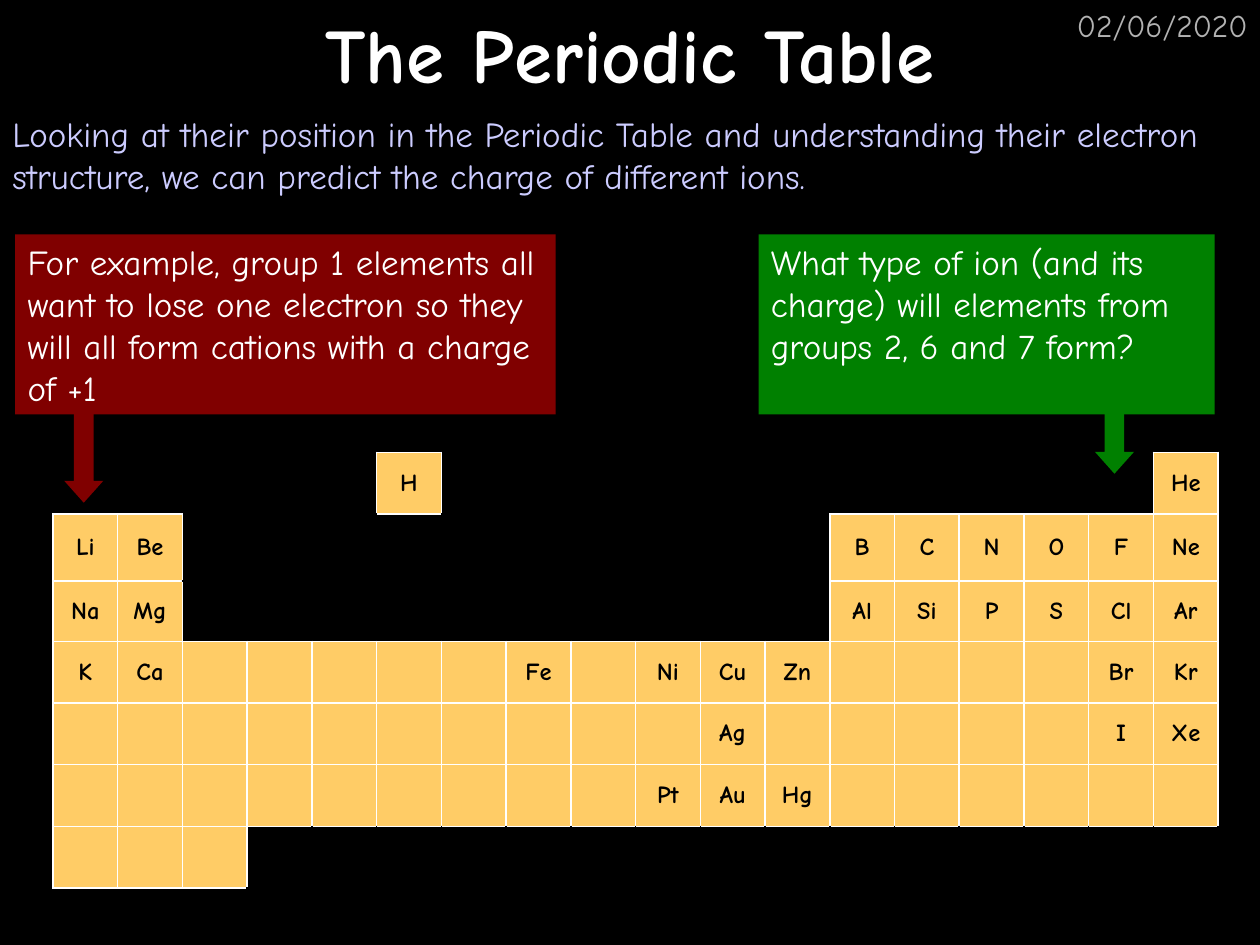
"""Builds the slide on predicting ion charges from the periodic table."""
from lxml import etree
from pptx import Presentation
from pptx import util as u
from pptx.dml.color import RGBColor
from pptx.enum import shapes, text
from pptx.oxml.ns import qn

FONT = "Comic Neue"
BLACK, WHITE, GOLD = "000000", "FFFFFF", "FFCC66"
RED, GREEN = "800000", "008000"
ROW_HEIGHTS = [0.49, 0.53, 0.48, 0.49, 0.49, 0.49, 0.49]
# A dot is an empty place and a dash is an element without a symbol.
PERIODS = [line.split() for line in (
    ". . . . . H . . . . . . . . . . . He",
    "Li Be . . . . . . . . . . B C N O F Ne",
    "Na Mg . . . . . . . . . . Al Si P S Cl Ar",
    "K Ca - - - - - Fe - Ni Cu Zn - - - - Br Kr",
    "- - - - - - - - - - Ag - - - - - I Xe",
    "- - - - - - - - - Pt Au Hg - - - - - -",
    "- - - . . . . . . . . . . . . . . .",
)]
SIDES = {"a:lnL": (0, -1), "a:lnR": (0, 1), "a:lnT": (-1, 0), "a:lnB": (1, 0)}


def paint(target, color):
    """Give a fill a solid colour."""
    target.solid()
    target.fore_color.rgb = RGBColor.from_string(color)


def write(frame, words, size, color, align=text.PP_ALIGN.LEFT, bold=False):
    """Put one formatted paragraph into a text frame."""
    frame.word_wrap = True
    para = frame.paragraphs[0]
    para.text = words
    para.alignment = align
    para.font.name = FONT
    para.font.size = u.Pt(size)
    para.font.bold = bold
    para.font.color.rgb = RGBColor.from_string(color)


def add_title(page, words):
    """Place the title across the top of the page."""
    title = page.shapes.title
    title.left, title.top = u.Inches(0), u.Inches(0)
    title.width, title.height = u.Inches(10), u.Inches(0.83)
    title.text_frame.vertical_anchor = text.MSO_ANCHOR.MIDDLE
    write(title.text_frame, words, 44, WHITE, text.PP_ALIGN.CENTER, True)


def add_label(page, place, words, size, color, align=text.PP_ALIGN.LEFT):
    """Add a text box."""
    box = page.shapes.add_textbox(*map(u.Inches, place))
    write(box.text_frame, words, size, color, align)


def add_block(group, kind, place, color):
    """Add a flat shape without an outline to a group."""
    block = group.shapes.add_shape(kind, *map(u.Inches, place))
    block.shadow.inherit = False
    paint(block.fill, color)
    block.line.fill.background()
    return block


def add_callout(page, left, width, arrow_place, color, words):
    """Add a coloured note with an arrow pointing down from it."""
    group = page.shapes.add_group_shape()
    note = add_block(group, shapes.MSO_SHAPE.RECTANGLE, (left, 1.86, width, 1.43), color)
    note.text_frame.vertical_anchor = text.MSO_ANCHOR.TOP
    write(note.text_frame, words, 20, WHITE)
    arrow = add_block(group, shapes.MSO_SHAPE.DOWN_ARROW, (*arrow_place, 0.31, 0.71), color)
    arrow.adjustments[1] = 0.56


def is_element(row, column):
    """Tell whether a grid place holds an element."""
    inside = 0 <= row < len(PERIODS) and 0 <= column < len(PERIODS[0])
    return inside and PERIODS[row][column] != "."


def add_borders(cell, row, column):
    """Draw white edges around elements and black edges elsewhere."""
    properties = cell._tc.get_or_add_tcPr()
    for side, (down, across) in SIDES.items():
        bright = is_element(row, column) or is_element(row + down, column + across)
        line = etree.SubElement(properties, qn(side), w=str(u.Pt(1)))
        fill = etree.SubElement(line, qn("a:solidFill"))
        etree.SubElement(fill, qn("a:srgbClr"), val=WHITE if bright else BLACK)


def add_periodic_table(page):
    """Add the grid of elements."""
    columns = len(PERIODS[0])
    frame = page.shapes.add_table(len(PERIODS), columns, u.Inches(0.42), u.Inches(3.59),
                                  u.Inches(9.25), u.Inches(sum(ROW_HEIGHTS)))
    table = frame.table
    table.first_row = table.horz_banding = False
    for row, symbols in enumerate(PERIODS):
        table.rows[row].height = u.Inches(ROW_HEIGHTS[row])
        for column, symbol in enumerate(symbols):
            cell = table.cell(row, column)
            add_borders(cell, row, column)
            paint(cell.fill, GOLD if is_element(row, column) else BLACK)
            cell.vertical_anchor = text.MSO_ANCHOR.MIDDLE
            write(cell.text_frame, symbol.strip(".-"), 14, BLACK, text.PP_ALIGN.CENTER, True)


def main():
    """Build and save the deck."""
    deck = Presentation()
    deck.slide_width, deck.slide_height = u.Inches(10), u.Inches(7.5)
    page = deck.slides.add_slide(deck.slide_layouts[5])
    paint(page.background.fill, BLACK)
    add_label(page, (7.92, 0, 2.08, 0.5), "02/06/2020", 18, "B2B2B2", text.PP_ALIGN.RIGHT)
    add_periodic_table(page)
    add_title(page, "The Periodic Table")
    add_label(page, (0, 0.84, 10, 0.77),
              "Looking at their position in the Periodic Table and understanding their "
              "electron structure, we can predict the charge of different ions.", 20, "CCCCFF")
    add_callout(page, 0.12, 4.29, (0.51, 3.28), RED,
                "For example, group 1 elements all want to lose one electron so they "
                "will all form cations with a charge of +1")
    add_callout(page, 6.02, 3.62, (8.69, 3.05), GREEN,
                "What type of ion (and its charge) will elements from groups 2, 6 and 7 form?")
    deck.save("out.pptx")


if __name__ == "__main__":
    main()
